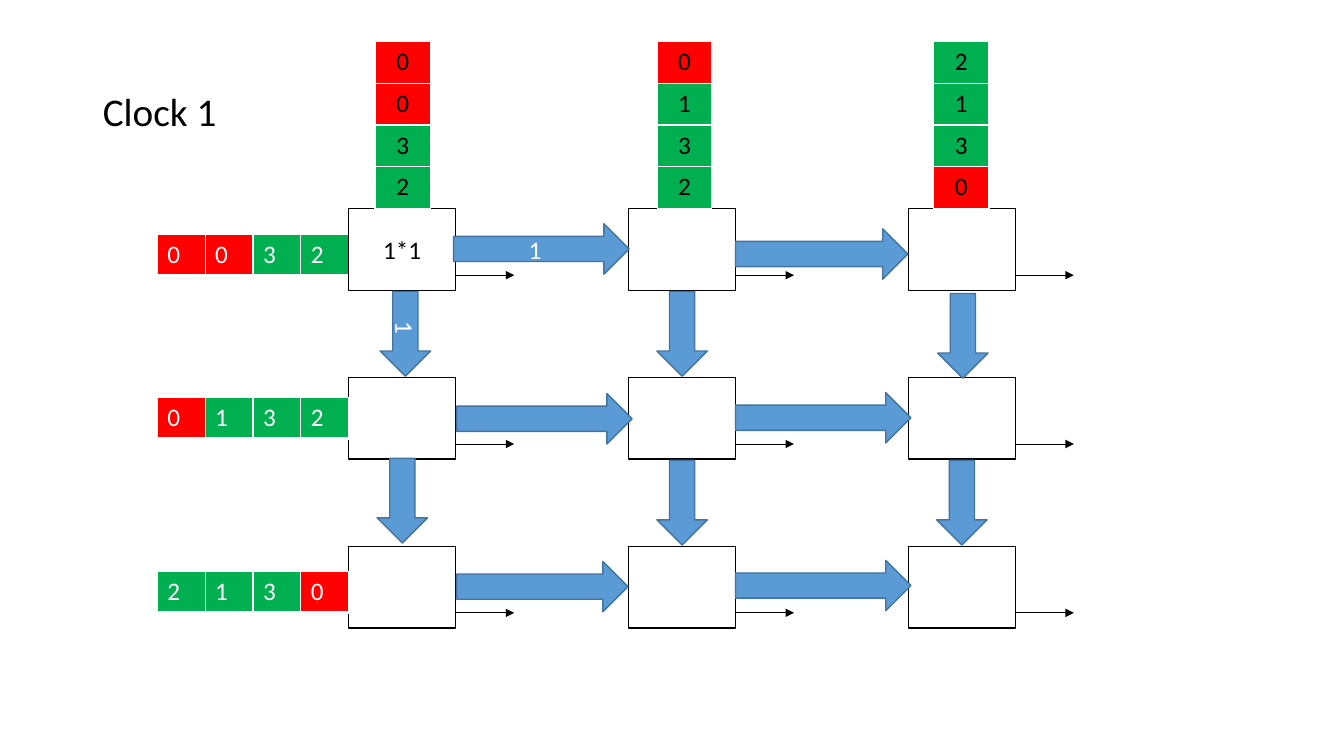
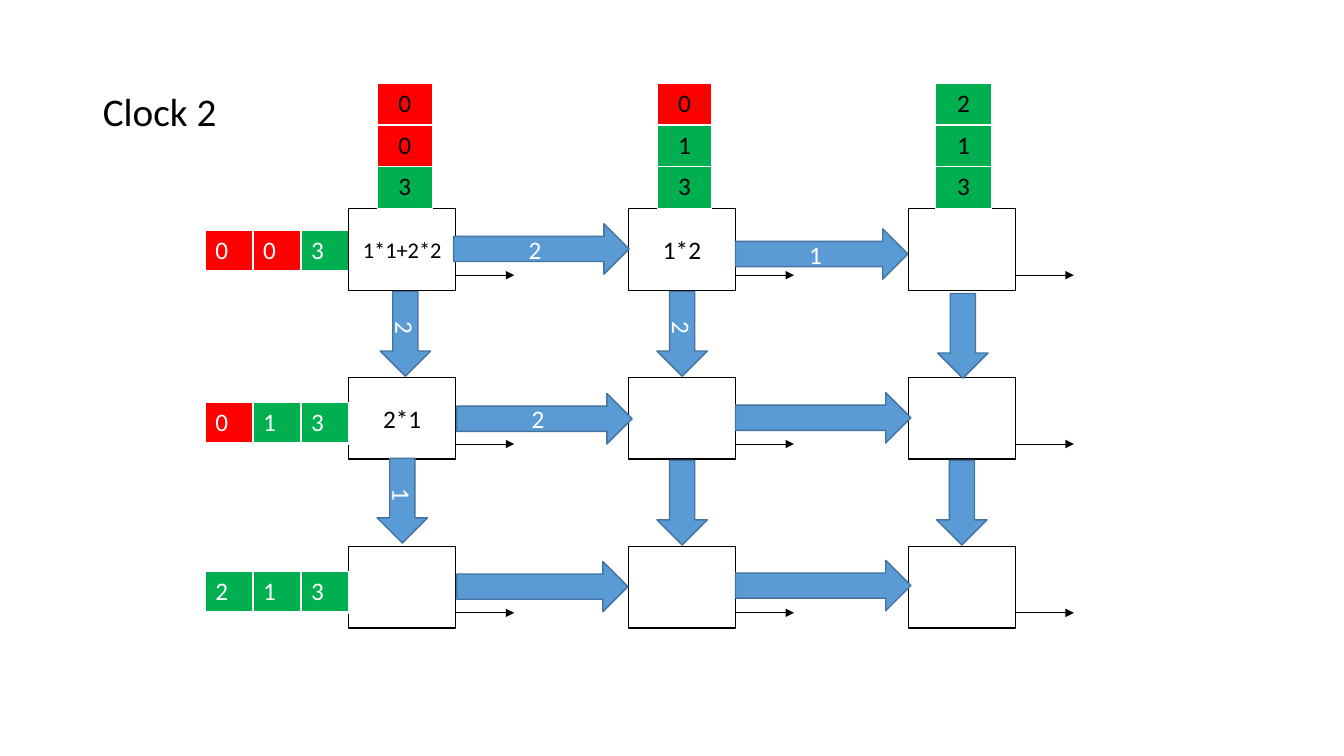
from lxml import etree
from pptx import Presentation
from pptx import util as u
from pptx.dml.color import RGBColor
from pptx.enum import shapes, text
from pptx.oxml import ns

COLORS = {"red": "FF0000", "green": "00B050", "blue": "5B9BD5",
          "edge": "43739E", "black": "000000", "white": "FFFFFF"}
FONT = "Calibri"
GRID_LEFT, GRID_TOP = 3.46, 2.07
PITCH_X, PITCH_Y = 2.775, 1.675
BOX_WIDTH, BOX_HEIGHT = 1.06, 0.81
ARROW_HEIGHT, DOWN_LENGTH = 0.5, 0.84
QUEUE_WIDTH, QUEUE_HEIGHT = 0.475, 0.4
STACK_STEP = 0.415
STACK_WIDTHS = [0.55, 0.53, 0.55]
RIGHT_ARROWS = {(0, 0): (-0.02, 0.15, 1.74), (0, 1): (0, 0.2, 1.71),
                (1, 0): (0.01, 0.16, 1.74), (1, 1): (0, 0.15, 1.74),
                (2, 0): (0.01, 0.15, 1.7), (2, 1): (0, 0.14, 1.74)}
DOWN_NUDGES = {(0, 0): (0.03, 0), (0, 2): (0.01, 0.02), (1, 0): (0, -0.02)}

CLOCKS = [
    {"title": "Clock 1",
     "queues": ["0032", "0132", "2130"], "queue_offsets": [0.26, 0.2, 0.25],
     "stacks": ["0032", "0132", "2130"], "stack_offsets": [0.26, 0.29, 0.25],
     "boxes": {(0, 0): ("1*1", 18)},
     "right": {(0, 0): "1"}, "down": {(0, 0): "1"}},
    {"title": "Clock 2",
     "queues": ["003", "013", "213"], "queue_offsets": [0.22, 0.25, 0.25],
     "stacks": ["003", "013", "213"], "stack_offsets": [0.28, 0.29, 0.27],
     "boxes": {(0, 0): ("1*1+2*2", 16), (0, 1): ("1*2", 18), (1, 0): ("2*1", 18)},
     "right": {(0, 0): "2", (0, 1): "1", (1, 0): "2"},
     "down": {(0, 0): "2", (0, 1): "2", (1, 0): "1"}},
]


def rgb(name):
    """Return the named colour."""
    return RGBColor.from_string(COLORS[name])


def box_corner(row, column):
    """Return the left and top of a grid box."""
    return GRID_LEFT + column * PITCH_X, GRID_TOP + row * PITCH_Y


def write(paragraph, content, color, size=18, **formats):
    """Put one formatted run in a paragraph."""
    run = paragraph.add_run()
    run.text = content
    for name, value in {"name": FONT, "size": u.Pt(size)}.items():
        setattr(run.font, name, value)
    run.font.color.rgb = rgb(color)
    for name, value in formats.items():
        setattr(paragraph, name, value)


def draw_shape(slide, kind, place, fill, line, label, color, size=18):
    """Draw a preset shape with an optional centred label."""
    shape = slide.shapes.add_shape(kind, *map(u.Inches, place))
    shape.shadow.inherit = False
    if fill:
        shape.fill.solid()
        shape.fill.fore_color.rgb = rgb(fill)
    else:
        shape.fill.background()
    shape.line.color.rgb = rgb(line)
    shape.line.width = u.Pt(1)
    shape.text_frame.vertical_anchor = text.MSO_ANCHOR.MIDDLE
    if label:
        write(shape.text_frame.paragraphs[0], label, color, size,
              alignment=text.PP_ALIGN.CENTER)
    return shape


def set_borders(cell, bottom):
    """Give a cell white borders with the given bottom width."""
    properties = cell._tc.get_or_add_tcPr()
    for index, (side, width) in enumerate([("L", 1), ("R", 1), ("T", 1), ("B", bottom)]):
        line = etree.Element(ns.qn("a:ln" + side), w=str(u.Pt(width)))
        fill = etree.SubElement(line, ns.qn("a:solidFill"))
        etree.SubElement(fill, ns.qn("a:srgbClr"), val=COLORS["white"])
        properties.insert(index, line)


def draw_table(slide, place, digits, vertical, color, alignment, bottom):
    """Draw a strip of digits, red for zero and green otherwise."""
    rows, columns = (len(digits), 1) if vertical else (1, len(digits))
    table = slide.shapes.add_table(rows, columns, *map(u.Inches, place)).table
    table.first_row = table.horz_banding = False
    for cell, digit in zip(table.iter_cells(), digits):
        cell.fill.solid()
        cell.fill.fore_color.rgb = rgb("red" if digit == "0" else "green")
        set_borders(cell, bottom)
        write(cell.text_frame.paragraphs[0], digit, color, alignment=alignment)


def draw_queue(slide, clock, row):
    """Draw the input queue that ends at the left of a grid row."""
    left, top = box_corner(row, 0)
    digits = clock["queues"][row]
    width = len(digits) * QUEUE_WIDTH
    place = (left - width, top + clock["queue_offsets"][row], width, QUEUE_HEIGHT)
    draw_table(slide, place, digits, False, "white", text.PP_ALIGN.LEFT, 3)


def draw_stack(slide, clock, column):
    """Draw the input stack that stands on a grid column."""
    left, top = box_corner(0, column)
    digits = clock["stacks"][column]
    height = len(digits) * STACK_STEP
    place = (left + clock["stack_offsets"][column], top - height,
             STACK_WIDTHS[column], height)
    draw_table(slide, place, digits, True, "black", text.PP_ALIGN.CENTER, 1)


def draw_box(slide, clock, row, column):
    """Draw one processing box."""
    label, size = clock["boxes"].get((row, column), ("", 18))
    draw_shape(slide, shapes.MSO_SHAPE.RECTANGLE,
               (*box_corner(row, column), BOX_WIDTH, BOX_HEIGHT),
               None, "black", label, "black", size)


def draw_output(slide, row, column):
    """Draw the thin output arrow of a box."""
    left, top = box_corner(row, column)
    start, height = left + BOX_WIDTH, top + 0.66
    connector = slide.shapes.add_connector(
        shapes.MSO_CONNECTOR.STRAIGHT,
        *map(u.Inches, (start, height, start + 0.58, height)))
    connector.line.color.rgb = rgb("black")
    connector.line.width = u.Pt(0.5)
    etree.SubElement(connector.line._get_or_add_ln(), ns.qn("a:tailEnd"), type="triangle")
    etree.SubElement(connector._element.spPr, ns.qn("a:effectLst"))


def draw_block_arrow(slide, place, label):
    """Draw a blue block arrow."""
    return draw_shape(slide, shapes.MSO_SHAPE.RIGHT_ARROW, place,
                      "blue", "edge", label, "white")


def draw_right_arrow(slide, clock, row, column):
    """Draw the arrow to the next box in the row."""
    left, top = box_corner(row, column)
    shift, drop, length = RIGHT_ARROWS[row, column]
    place = (left + BOX_WIDTH + shift, top + drop, length, ARROW_HEIGHT)
    draw_block_arrow(slide, place, clock["right"].get((row, column)))


def draw_down_arrow(slide, clock, row, column):
    """Draw the arrow to the next box in the column."""
    left, top = box_corner(row, column)
    shift, drop = DOWN_NUDGES.get((row, column), (0, 0))
    center = left + BOX_WIDTH / 2 + shift
    middle = top + (BOX_HEIGHT + PITCH_Y) / 2 + drop
    place = (center - DOWN_LENGTH / 2, middle - ARROW_HEIGHT / 2,
             DOWN_LENGTH, ARROW_HEIGHT)
    arrow = draw_block_arrow(slide, place, clock["down"].get((row, column)))
    arrow.rotation = 90


def draw_title(slide, title):
    """Place and format the title."""
    place = {"left": 0.92, "top": 0.4, "width": 11.5, "height": 1.45}
    for name, value in place.items():
        setattr(slide.shapes.title, name, u.Inches(value))
    frame = slide.shapes.title.text_frame
    frame.vertical_anchor = text.MSO_ANCHOR.MIDDLE
    write(frame.paragraphs[0], title, "black", 28,
          alignment=text.PP_ALIGN.LEFT, line_spacing=0.9)


def build_clock(presentation, clock):
    """Build the slide for one clock step."""
    slide = presentation.slides.add_slide(presentation.slide_layouts[5])
    cells = [(row, column) for row in range(3) for column in range(3)]
    draw_title(slide, clock["title"])
    draw_queue(slide, clock, 0)
    for cell in cells:
        draw_box(slide, clock, *cell)
    for row in (1, 2):
        draw_queue(slide, clock, row)
    for column in range(3):
        draw_stack(slide, clock, column)
    for row, column in cells:
        draw_output(slide, row, column)
        if column < 2:
            draw_right_arrow(slide, clock, row, column)
        if row < 2:
            draw_down_arrow(slide, clock, row, column)


def main():
    """Build and save the presentation."""
    presentation = Presentation()
    presentation.slide_width = u.Inches(13.33)
    presentation.slide_height = u.Inches(7.5)
    for clock in CLOCKS:
        build_clock(presentation, clock)
    presentation.save("out.pptx")


if __name__ == "__main__":
    main()
